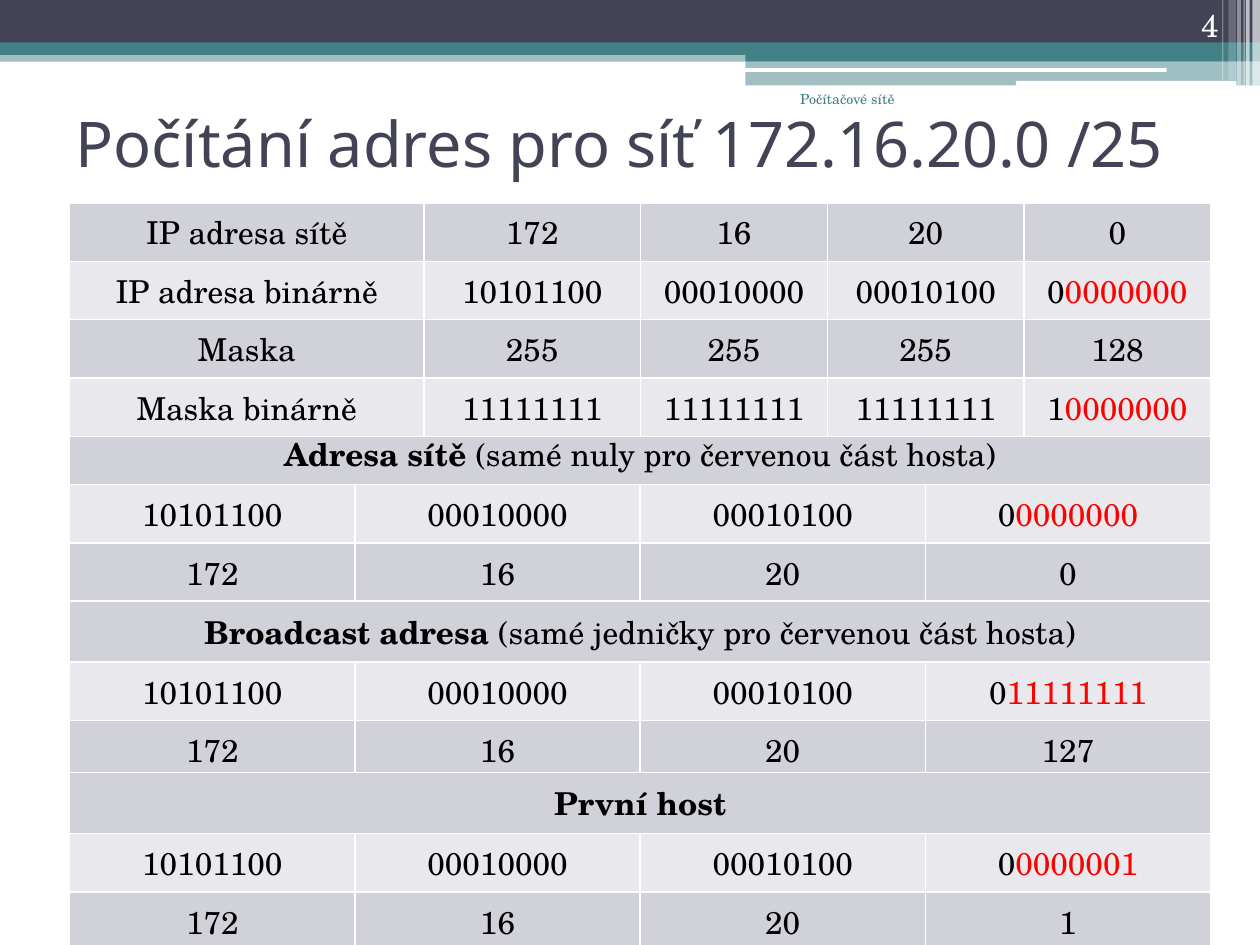
from typing import NamedTuple

from lxml import etree
from pptx import Presentation
from pptx.dml.color import RGBColor
from pptx.enum.shapes import MSO_SHAPE
from pptx.enum.text import MSO_ANCHOR, PP_ALIGN
from pptx.oxml.ns import qn
from pptx.util import Pt

RECT, ROUND = MSO_SHAPE.RECTANGLE, MSO_SHAPE.ROUNDED_RECTANGLE
TOP, MIDDLE, BOTTOM = MSO_ANCHOR.TOP, MSO_ANCHOR.MIDDLE, MSO_ANCHOR.BOTTOM
LEFT, CENTER, RIGHT = PP_ALIGN.LEFT, PP_ALIGN.CENTER, PP_ALIGN.RIGHT
SANS, SERIF = "Noto Sans", "TeX Gyre Schola"
COLORS = {"navy": "424456", "teal": "438086", "white": "FFFFFF", "black": "000000",
          "red": "FF0000", "dark": "D1D1DA", "light": "E9E9ED"}


class Bar(NamedTuple):
    left: float
    top: float
    width: float
    height: float
    color: str
    alpha: int = 100
    kind: int = RECT


class Run(NamedTuple):
    text: str
    color: str = "black"
    bold: bool = False
    size: float = 18
    font: str = SERIF


class Label(NamedTuple):
    left: float
    top: float
    width: float
    height: float
    run: Run
    align: int
    anchor: int


class Grid(NamedTuple):
    top: float
    cols: list
    heights: list
    rows: list


Row = list[list[Run]]


def tint(name: str) -> RGBColor:
    return RGBColor.from_string(COLORS[name])


def put_runs(frame, runs: list[Run], align: int) -> None:
    line = frame.paragraphs[0]
    line.alignment = align
    for item in runs:
        run = line.add_run()
        run.text = item.text
        font = run.font
        font.name, font.size, font.bold = item.font, Pt(item.size), item.bold
        font.color.rgb = tint(item.color)


def draw_bar(slide, bar: Bar) -> None:
    shape = slide.shapes.add_shape(bar.kind, Pt(bar.left), Pt(bar.top),
                                   Pt(bar.width), Pt(bar.height))
    shape.shadow.inherit = False
    shape.line.fill.background()
    shape.fill.solid()
    shape.fill.fore_color.rgb = tint(bar.color)
    if bar.alpha < 100:
        color = shape.element.spPr.find(qn("a:solidFill"))[0]
        etree.SubElement(color, qn("a:alpha"), val=str(bar.alpha * 1000))


def draw_label(slide, label: Label) -> None:
    box = slide.shapes.add_textbox(Pt(label.left), Pt(label.top),
                                   Pt(label.width), Pt(label.height))
    box.text_frame.word_wrap = True
    box.text_frame.vertical_anchor = label.anchor
    put_runs(box.text_frame, [label.run], label.align)


def style_cell(cell, fill: str) -> None:
    props = cell._tc.get_or_add_tcPr()
    for side in ("L", "R", "T", "B"):
        edge = etree.SubElement(props, qn(f"a:ln{side}"), w=str(Pt(1)))
        paint = etree.SubElement(edge, qn("a:solidFill"))
        etree.SubElement(paint, qn("a:srgbClr"), val=COLORS["white"])
    cell.fill.solid()
    cell.fill.fore_color.rgb = tint(fill)


def draw_grid(slide, grid: Grid) -> None:
    frame = slide.shapes.add_table(len(grid.rows), len(grid.cols), Pt(39.8), Pt(grid.top),
                                   Pt(sum(grid.cols)), Pt(sum(grid.heights)))
    table = frame.table
    table.first_row = table.horz_banding = False
    for col, width in zip(table.columns, grid.cols):
        col.width = Pt(width)
    for y, (height, row) in enumerate(zip(grid.heights, grid.rows)):
        table.rows[y].height = Pt(height)
        for x in range(len(grid.cols)):
            style_cell(table.cell(y, x), "light" if y % 2 else "dark")
        if len(row) == 1:
            table.cell(y, 0).merge(table.cell(y, len(grid.cols) - 1))
        for x, runs in enumerate(row):
            put_runs(table.cell(y, x).text_frame, runs, CENTER)


def plain(*texts: str) -> Row:
    return [[Run(text)] for text in texts]


def split(*texts: str) -> Row:
    *heads, last = texts
    return plain(*heads) + [[Run(last[0]), Run(last[1:], "red")]]


def host_grid(top: float, head: list[Run], bits: str, last: str) -> Grid:
    rows = [[head], split("10101100", "00010000", "00010100", bits),
            plain("172", "16", "20", last)]
    return Grid(top, [163] * 4, [35, 33.4, 33.4], rows)


BARS = [
    Bar(0, 28.8, 720, 6.5, "teal", 50),
    Bar(0, 0, 720, 24.5, "navy"),
    Bar(0, 24.2, 720, 7.2, "teal"),
    Bar(426, 28, 294, 7, "teal"),
    Bar(426, 34.8, 294, 14, "teal", 50),
    Bar(425.5, 39, 241.2, 2.1, "white", kind=ROUND),
    Bar(580.5, 46.2, 126, 2.9, "white", kind=ROUND),
    Bar(715.6, 0, 4.4, 49, "white", 65),
    Bar(712, 0, 2.1, 49, "white", 65),
    Bar(710.6, 0, 0.7, 49, "white", 60),
    Bar(707, 0, 2.1, 49, "white", 40),
    Bar(702, 0, 4.3, 46, "white", 20),
    Bar(698.4, 0, 0.7, 46, "white", 30),
]

LABELS = [
    Label(36, 50.4, 648, 62, Run("Počítání adres pro síť 172.16.20.0 /25", "navy",
                                 size=36, font=SANS), LEFT, MIDDLE),
    Label(414, 48.2, 104.4, 36, Run("Počítačové sítě", "teal", size=8), RIGHT, TOP),
    Label(643.7, 0, 59.8, 28.8, Run("4", "white"), RIGHT, BOTTOM),
]

GRIDS = [
    host_grid(241.9, [Run("Adresa sítě ", bold=True),
                      Run("(samé nuly pro červenou část hosta)")], "00000000", "0"),
    host_grid(343.4, [Run("Broadcast adresa ", bold=True),
                      Run("(samé jedničky pro červenou část hosta)")], "011111111", "127"),
    Grid(115.9, [202.4, 123.9, 106.7, 112.4, 106.6], [33.4] * 4, [
        plain("IP adresa sítě", "172", "16", "20", "0"),
        split("IP adresa binárně", "10101100", "00010000", "00010100", "00000000"),
        plain("Maska", "255", "255", "255", "128"),
        split("Maska binárně", "11111111", "11111111", "11111111", "10000000"),
    ]),
    host_grid(441.4, [Run("První host", bold=True)], "00000001", "1"),
]


def main() -> None:
    deck = Presentation()
    deck.slide_width, deck.slide_height = Pt(720), Pt(540)
    slide = deck.slides.add_slide(deck.slide_layouts[6])
    for bar in BARS:
        draw_bar(slide, bar)
    for label in LABELS:
        draw_label(slide, label)
    for grid in GRIDS:
        draw_grid(slide, grid)
    deck.save("out.pptx")


if __name__ == "__main__":
    main()
